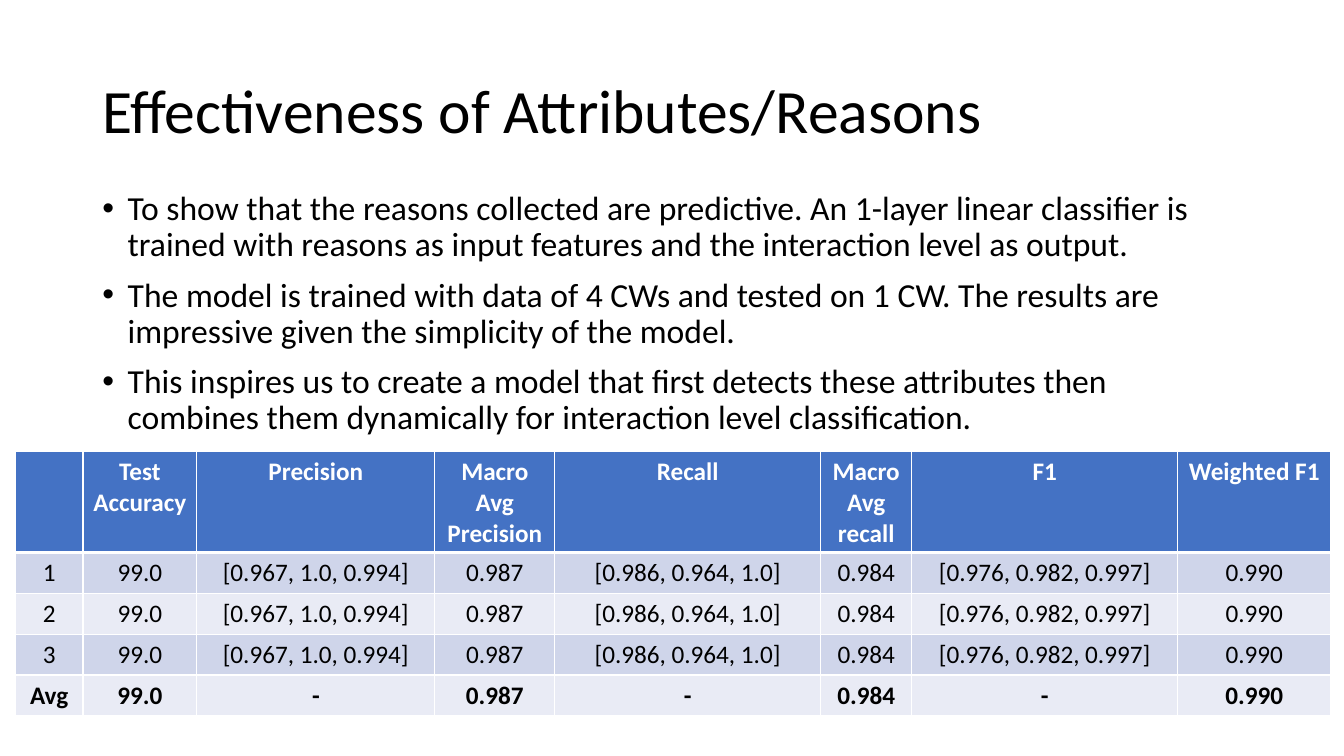
"""Build the slide on how well the collected reasons predict interaction level."""

from dataclasses import dataclass

import lxml.etree
import pptx
import pptx.dml.color
import pptx.enum.text
import pptx.oxml.ns
import pptx.slide
import pptx.table
import pptx.text.text
import pptx.util

FONT = "Calibri"
COLORS = {
    "text": "000000",
    "white": "FFFFFF",
    "header": "4472C4",
    "odd_row": "CFD5EA",
    "even_row": "E9EBF5",
}
BULLETS = (
    "To show that the reasons collected are predictive. An 1-layer linear classifier is "
    "trained with reasons as input features and the interaction level as output.",
    "The model is trained with data of 4 CWs and tested on 1 CW. The results are "
    "impressive given the simplicity of the model.",
    "This inspires us to create a model that first detects these attributes then "
    "combines them dynamically for interaction level classification.",
)


@dataclass(frozen=True)
class TextArea:
    top: float
    height: float
    size: float
    paragraphs: tuple[str, ...]
    anchor: pptx.enum.text.MSO_ANCHOR
    bulleted: bool = False


@dataclass(frozen=True)
class Column:
    heading: str
    width: float
    trial: str
    average: str


@dataclass(frozen=True)
class RowStyle:
    fill: str
    color: str
    bold: bool
    bottom_border: float = 1


TEXT_AREAS = (
    TextArea(1.02, 3.68, 44, ("Effectiveness of Attributes/Reasons",),
             pptx.enum.text.MSO_ANCHOR.MIDDLE),
    TextArea(4.7, 12.09, 24, BULLETS, pptx.enum.text.MSO_ANCHOR.TOP, True),
)
COLUMNS = (
    Column("", 1.7, "{trial}", "Avg"),
    Column("Test Accuracy", 2.87, "99.0", "99.0"),
    Column("Precision", 6, "[0.967, 1.0, 0.994]", "-"),
    Column("Macro Avg Precision", 3.02, "0.987", "0.987"),
    Column("Recall", 6.7, "[0.986, 0.964, 1.0]", "-"),
    Column("Macro Avg recall", 2.3, "0.984", "0.984"),
    Column("F1", 6.7, "[0.976, 0.982, 0.997]", "-"),
    Column("Weighted F1", 3.86, "0.990", "0.990"),
)
TRIAL_COUNT = 3
HEADER_HEIGHT = 2.54
ROW_HEIGHT = 1.03


def add_run(paragraph: pptx.text.text._Paragraph, text: str, size: float,
            color: str, bold: bool = False) -> None:
    run = paragraph.add_run()
    run.text = text
    run.font.name = FONT
    run.font.size = pptx.util.Pt(size)
    run.font.bold = bold
    run.font.color.rgb = pptx.dml.color.RGBColor.from_string(COLORS[color])


def add_bullet(paragraph: pptx.text.text._Paragraph) -> None:
    properties = paragraph._p.get_or_add_pPr()
    indent = pptx.util.Cm(0.64)
    properties.set("marL", str(indent))
    properties.set("indent", str(-indent))
    for tag, name, value in (("a:buFont", "typeface", "Arial"), ("a:buChar", "char", "•")):
        element = lxml.etree.SubElement(properties, pptx.oxml.ns.qn(tag))
        element.set(name, value)


def add_text_area(slide: pptx.slide.Slide, area: TextArea) -> None:
    box = slide.shapes.add_textbox(
        pptx.util.Cm(2.33), pptx.util.Cm(area.top), pptx.util.Cm(29.21), pptx.util.Cm(area.height))
    frame = box.text_frame
    frame.word_wrap = True
    frame.vertical_anchor = area.anchor
    for index, text in enumerate(area.paragraphs):
        paragraph = frame.add_paragraph() if index else frame.paragraphs[0]
        if area.bulleted:
            add_bullet(paragraph)
        paragraph.line_spacing = 0.9
        paragraph.space_before = pptx.util.Pt(10 if index else 0)
        add_run(paragraph, text, area.size, "text")


def add_border(cell: pptx.table._Cell, side: str, width: float) -> None:
    properties = cell._tc.get_or_add_tcPr()
    line = lxml.etree.SubElement(properties, pptx.oxml.ns.qn(f"a:ln{side}"))
    line.set("w", str(pptx.util.Pt(width)))
    fill = lxml.etree.SubElement(line, pptx.oxml.ns.qn("a:solidFill"))
    color = lxml.etree.SubElement(fill, pptx.oxml.ns.qn("a:srgbClr"))
    color.set("val", COLORS["white"])


def fill_cell(cell: pptx.table._Cell, text: str, style: RowStyle, top_border: float) -> None:
    for side, width in (("L", 1), ("R", 1), ("T", top_border), ("B", style.bottom_border)):
        add_border(cell, side, width)
    cell.fill.solid()
    cell.fill.fore_color.rgb = pptx.dml.color.RGBColor.from_string(COLORS[style.fill])
    paragraph = cell.text_frame.paragraphs[0]
    paragraph.alignment = pptx.enum.text.PP_ALIGN.CENTER
    if text:
        add_run(paragraph, text, 18, style.color, style.bold)


def add_results_table(slide: pptx.slide.Slide) -> None:
    rows = [([column.heading for column in COLUMNS], RowStyle("header", "white", True, 3))]
    for trial in range(1, TRIAL_COUNT + 1):
        fill = "odd_row" if trial % 2 else "even_row"
        values = [column.trial.format(trial=trial) for column in COLUMNS]
        rows.append((values, RowStyle(fill, "text", False)))
    rows.append(([column.average for column in COLUMNS], RowStyle("even_row", "text", True)))

    width = sum(column.width for column in COLUMNS)
    height = HEADER_HEIGHT + ROW_HEIGHT * (len(rows) - 1)
    table = slide.shapes.add_table(
        len(rows), len(COLUMNS), pptx.util.Cm(0.39), pptx.util.Cm(11.38),
        pptx.util.Cm(width), pptx.util.Cm(height)).table
    for table_column, column in zip(table.columns, COLUMNS):
        table_column.width = pptx.util.Cm(column.width)
    top_border = 1
    for row_index, (values, style) in enumerate(rows):
        table.rows[row_index].height = pptx.util.Cm(ROW_HEIGHT if row_index else HEADER_HEIGHT)
        for column_index, text in enumerate(values):
            fill_cell(table.cell(row_index, column_index), text, style, top_border)
        top_border = style.bottom_border


def main() -> None:
    presentation = pptx.Presentation()
    presentation.slide_width = pptx.util.Cm(33.87)
    presentation.slide_height = pptx.util.Cm(19.05)
    slide = presentation.slides.add_slide(presentation.slide_layouts[6])
    for area in TEXT_AREAS:
        add_text_area(slide, area)
    add_results_table(slide)
    presentation.save("out.pptx")


if __name__ == "__main__":
    main()
